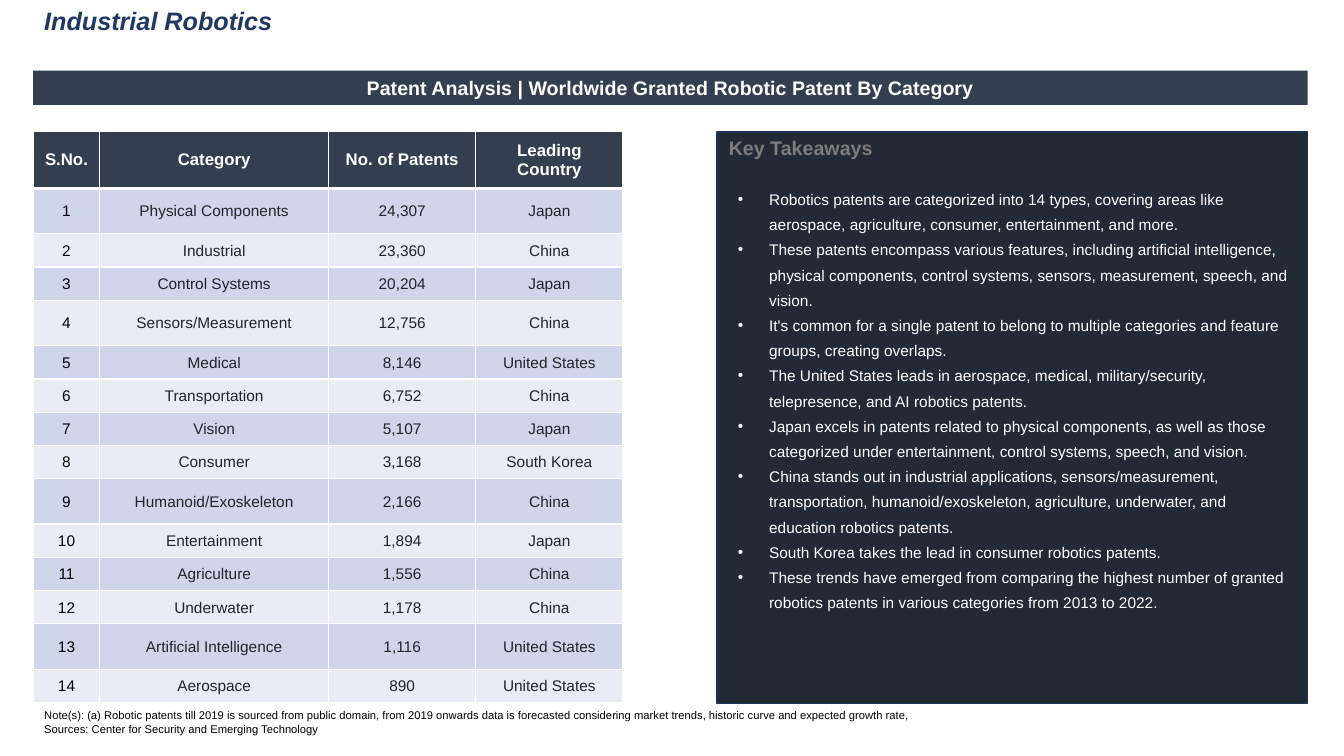
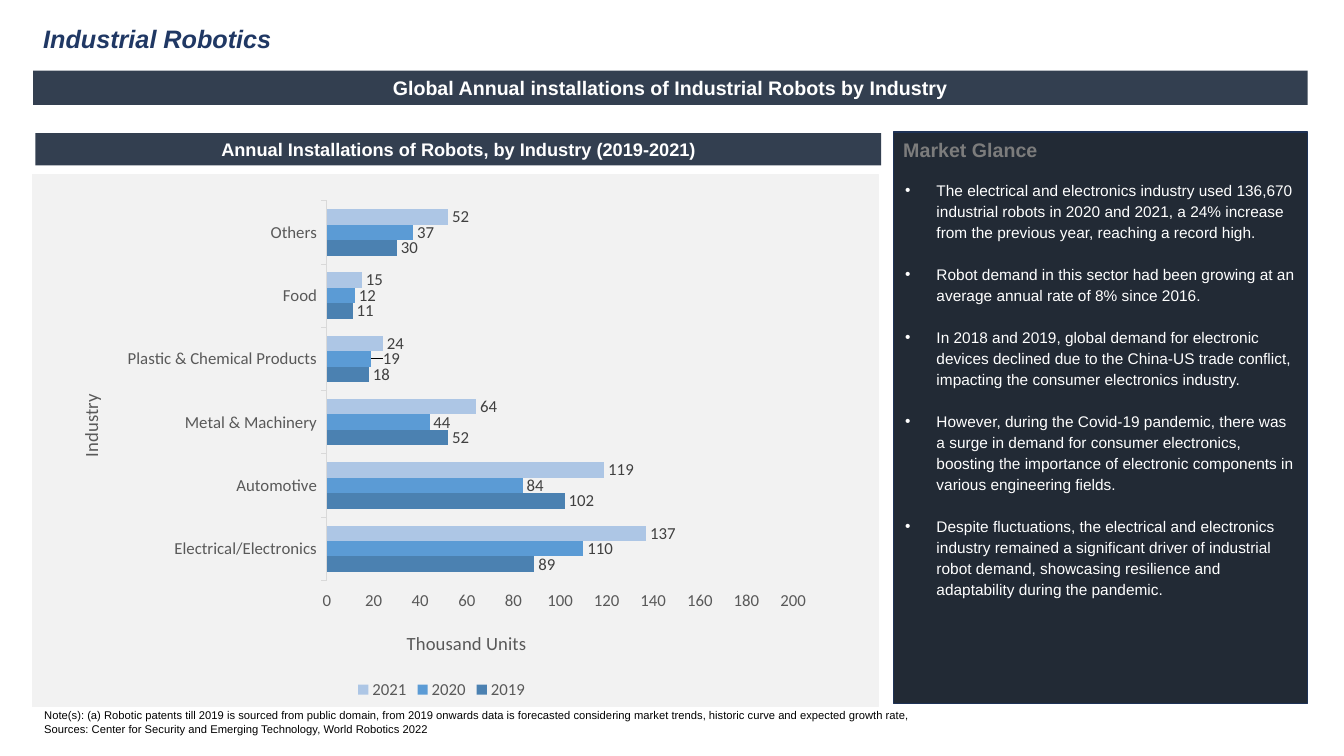
from lxml import etree
from pptx import Presentation
from pptx.chart.data import CategoryChartData
from pptx.dml.color import RGBColor
from pptx.enum.chart import XL_CHART_TYPE, XL_LABEL_POSITION, XL_LEGEND_POSITION, XL_TICK_MARK
from pptx.enum.shapes import MSO_SHAPE
from pptx.enum.text import MSO_ANCHOR, PP_ALIGN
from pptx.oxml.ns import qn
from pptx.util import Inches, Pt

RECTANGLE = MSO_SHAPE.RECTANGLE
CENTER = PP_ALIGN.CENTER
MIDDLE = MSO_ANCHOR.MIDDLE
CLUSTERED_BARS = XL_CHART_TYPE.BAR_CLUSTERED
OUTSIDE_END = XL_LABEL_POSITION.OUTSIDE_END
LEGEND_BOTTOM = XL_LEGEND_POSITION.BOTTOM
TICK_OUTSIDE = XL_TICK_MARK.OUTSIDE

COLORS = {
    "white": "FFFFFF", "black": "000000", "title": "203864", "banner": "333F50",
    "panel": "222A35", "panel_line": "1E3256", "heading": "7C7C7C",
    "cell_text": "212529", "odd_row": "CFD5EA", "even_row": "E9EBF5",
    "chart_area": "F2F2F2", "axis_text": "595959", "axis_line": "D9D9D9",
    "label_text": "404040", "2019": "4B81B1", "2020": "5B9BD5", "2021": "ADC6E5",
}

# Font formats shared by both slides
TITLE = {"name": "Arial", "size": Pt(18), "bold": True, "italic": True, "color": "title"}
BANNER = {"name": "Arial", "size": Pt(14), "bold": True, "color": "white"}
CHART_BANNER = {**BANNER, "size": Pt(13)}
HEADING = {**BANNER, "color": "heading"}
BULLET = {"name": "Arial", "size": Pt(11), "color": "white"}
FOOTER = {"name": "Arial", "size": Pt(8), "color": "black"}
HEADER_CELL = {**BANNER, "size": Pt(12)}
BODY_CELL = {"name": "Arial", "size": Pt(11), "bold": False, "color": "cell_text"}
NUMBER_CELL = {**BODY_CELL, "color": "black"}
AXIS = {"name": "Calibri", "size": Pt(12), "bold": False, "color": "axis_text"}
AXIS_TITLE = {**AXIS, "size": Pt(13.3)}
DATA_LABEL = {**AXIS, "color": "label_text"}

NOTE = ("Note(s): (a) Robotic patents till 2019 is sourced from public domain, from 2019 onwards "
        "data is forecasted considering market trends, historic curve and expected growth rate,")

PATENT_HEADER = ("S.No.", "Category", "No. of Patents", "Leading Country")
PATENTS = (
    ("Physical Components", "24,307", "Japan"),
    ("Industrial", "23,360", "China"),
    ("Control Systems", "20,204", "Japan"),
    ("Sensors/Measurement", "12,756", "China"),
    ("Medical", "8,146", "United States"),
    ("Transportation", "6,752", "China"),
    ("Vision", "5,107", "Japan"),
    ("Consumer", "3,168", "South Korea"),
    ("Humanoid/Exoskeleton", "2,166", "China"),
    ("Entertainment", "1,894", "Japan"),
    ("Agriculture", "1,556", "China"),
    ("Underwater", "1,178", "China"),
    ("Artificial Intelligence", "1,116", "United States"),
    ("Aerospace", "890", "United States"),
)
TALL_ROWS = (1, 4, 9, 13)

TAKEAWAYS = (
    "Robotics patents are categorized into 14 types, covering areas like aerospace, agriculture, "
    "consumer, entertainment, and more.",
    "These patents encompass various features, including artificial intelligence, physical "
    "components, control systems, sensors, measurement, speech, and vision.",
    "It's common for a single patent to belong to multiple categories and feature groups, "
    "creating overlaps.",
    "The United States leads in aerospace, medical, military/security, telepresence, and AI "
    "robotics patents.",
    "Japan excels in patents related to physical components, as well as those categorized under "
    "entertainment, control systems, speech, and vision.",
    "China stands out in industrial applications, sensors/measurement, transportation, "
    "humanoid/exoskeleton, agriculture, underwater, and education robotics patents.",
    "South Korea takes the lead in consumer robotics patents.",
    "These trends have emerged from comparing the highest number of granted robotics patents in "
    "various categories from 2013 to 2022.",
)
MARKET_POINTS = (
    "The electrical and electronics industry used 136,670 industrial robots in 2020 and 2021, "
    "a 24% increase from the previous year, reaching a record high.",
    "Robot demand in this sector had been growing at an average annual rate of 8% since 2016.",
    "In 2018 and 2019, global demand for electronic devices declined due to the China-US trade "
    "conflict, impacting the consumer electronics industry.",
    "However, during the Covid-19 pandemic, there was a surge in demand for consumer electronics, "
    "boosting the importance of electronic components in various engineering fields.",
    "Despite fluctuations, the electrical and electronics industry remained a significant driver "
    "of industrial robot demand, showcasing resilience and adaptability during the pandemic.",
)

INDUSTRIES = ("Electrical/Electronics", "Automotive", "Metal & Machinery",
              "Plastic & Chemical Products", "Food", "Others")
INSTALLATIONS = {
    "2019": (89, 102, 52, 18, 11, 30),
    "2020": (110, 84, 44, 19, 12, 37),
    "2021": (137, 119, 64, 24, 15, 52),
}


def rgb(color):
    return RGBColor.from_string(COLORS[color])


def apply_font(font, values):
    for name, value in values.items():
        if name == "color":
            font.color.rgb = rgb(value)
        else:
            setattr(font, name, value)


def write(paragraph, text, font_values):
    run = paragraph.add_run()
    run.text = text
    apply_font(run.font, font_values)


def add_text(slide, box, lines, font_values):
    frame = slide.shapes.add_textbox(*map(Inches, box)).text_frame
    frame.word_wrap = True
    for index, line in enumerate(lines):
        paragraph = frame.add_paragraph() if index else frame.paragraphs[0]
        write(paragraph, line, font_values)
    return frame


def add_bullets(slide, box, points, line_height, gap=0):
    frame = add_text(slide, box, points, BULLET)
    for index, paragraph in enumerate(frame.paragraphs):
        paragraph.line_spacing = Pt(line_height)
        paragraph.space_before = Pt(gap if index else 0)
        properties = paragraph.runs[0].font and paragraph._p.get_or_add_pPr()
        properties.set("marL", str(Inches(0.31)))
        properties.set("indent", str(-Inches(0.31)))
        etree.SubElement(properties, qn("a:buFont"), typeface="Arial")
        etree.SubElement(properties, qn("a:buChar"), char="•")


def add_rectangle(slide, box, fill, line=None):
    rectangle = slide.shapes.add_shape(RECTANGLE, *map(Inches, box))
    rectangle.shadow.inherit = False
    rectangle.fill.solid()
    rectangle.fill.fore_color.rgb = rgb(fill)
    if line:
        rectangle.line.color.rgb = rgb(line)
        rectangle.line.width = Pt(1)
    else:
        rectangle.line.fill.background()
    return rectangle


def add_banner(slide, box, text, font_values):
    frame = add_rectangle(slide, box, "banner").text_frame
    frame.word_wrap = True
    frame.vertical_anchor = MIDDLE
    frame.paragraphs[0].alignment = CENTER
    write(frame.paragraphs[0], text, font_values)


def add_panel(slide, left, heading, heading_left, heading_top):
    width = 12.97 - left
    add_rectangle(slide, (left, 1.31, width, 5.67), "panel", "panel_line")
    add_text(slide, (heading_left, heading_top, width, 0.34), [heading], HEADING)


def add_frame(prs, title_box, banner, sources):
    """Start a slide with its title, banner and footer."""
    slide = prs.slides.add_slide(prs.slide_layouts[6])
    add_text(slide, title_box, ["Industrial Robotics"], TITLE)
    add_banner(slide, (0.33, 0.7, 12.64, 0.34), banner, BANNER)
    add_text(slide, (0.34, 6.98, 12.98, 0.37), [NOTE, "Sources: " + sources], FOOTER)
    return slide


def set_borders(cell, bottom):
    properties = cell._tc.get_or_add_tcPr()
    for side, points in (("L", 1), ("R", 1), ("T", 1), ("B", bottom)):
        line = etree.SubElement(properties, qn("a:ln" + side), w=str(Pt(points)))
        fill = etree.SubElement(line, qn("a:solidFill"))
        etree.SubElement(fill, qn("a:srgbClr"), val=COLORS["white"])


def fill_cell(cell, text, fill, font_values, bottom=1):
    set_borders(cell, bottom)
    cell.fill.solid()
    cell.fill.fore_color.rgb = rgb(fill)
    cell.vertical_anchor = MIDDLE
    paragraph = cell.text_frame.paragraphs[0]
    paragraph.alignment = CENTER
    write(paragraph, text, font_values)


def add_patent_table(slide):
    box = map(Inches, (0.33, 1.3, 5.85, 5.67))
    table = slide.shapes.add_table(len(PATENTS) + 1, len(PATENT_HEADER), *box).table
    for column, width in zip(table.columns, (0.66, 2.27, 1.46, 1.46)):
        column.width = Inches(width)
    table.rows[0].height = Inches(0.57)
    for column, text in enumerate(PATENT_HEADER):
        fill_cell(table.cell(0, column), text, "banner", HEADER_CELL, bottom=3)
    margins = {"margin_left": 0.01, "margin_right": 0.01, "margin_top": 0.01, "margin_bottom": 0}
    for row, patent in enumerate(PATENTS, 1):
        table.rows[row].height = Inches(0.45 if row in TALL_ROWS else 0.33)
        fill = "odd_row" if row % 2 else "even_row"
        for column, text in enumerate((str(row), *patent)):
            cell = table.cell(row, column)
            fill_cell(cell, text, fill, BODY_CELL if column else NUMBER_CELL)
            for name, value in margins.items():
                setattr(cell, name, Inches(value))


def set_layout(parent, index, values):
    """Give a chart part a manual layout, as its child at the index."""
    for old in parent.findall(qn("c:layout")):
        parent.remove(old)
    layout = etree.Element(qn("c:layout"))
    manual = etree.SubElement(layout, qn("c:manualLayout"))
    for name, value in values.items():
        etree.SubElement(manual, qn("c:" + name), val=str(value))
    parent.insert(index, layout)


def format_axis(axis, title, x, y):
    axis.has_major_gridlines = False
    axis.major_tick_mark = TICK_OUTSIDE
    apply_font(axis.tick_labels.font, AXIS)
    write(axis.axis_title.text_frame.paragraphs[0], title, AXIS_TITLE)
    set_layout(axis.axis_title._element, 1, {"xMode": "edge", "yMode": "edge", "x": x, "y": y})


def add_installations_chart(slide):
    data = CategoryChartData()
    data.categories = INDUSTRIES
    for year, values in INSTALLATIONS.items():
        data.add_series(year, values)
    box = map(Inches, (0.59, 1.89, 7.58, 5.09))
    chart = slide.shapes.add_chart(CLUSTERED_BARS, *box, data).chart
    chart.has_title = False
    apply_font(chart.font, AXIS)

    # Bars and their values
    bars = chart.plots[0]
    bars.gap_width = 109
    bars.overlap = 0
    bars.vary_by_categories = False
    for series in bars.series:
        series.format.fill.solid()
        series.format.fill.fore_color.rgb = rgb(series.name)
        labels = series.data_labels
        labels.show_value = True
        labels.position = OUTSIDE_END
        apply_font(labels.font, DATA_LABEL)
    plastic_label = bars.series[1].points[3].data_label
    apply_font(plastic_label.font, DATA_LABEL)
    plastic_label.position = OUTSIDE_END
    set_layout(chart._chartSpace.xpath(".//c:dLbl")[0], 1, {"x": 0.01, "y": 0})

    # Axes, legend and plot area
    format_axis(chart.category_axis, "Industry", 0.02, 0.39)
    chart.category_axis.format.line.color.rgb = rgb("axis_line")
    chart.category_axis.format.line.width = Pt(0.75)
    format_axis(chart.value_axis, "Thousand Units", 0.45, 0.85)
    chart.value_axis.format.line.fill.background()
    chart.value_axis.minimum_scale = 0
    chart.value_axis.maximum_scale = 200
    chart.value_axis.major_unit = 20
    chart.has_legend = True
    chart.legend.position = LEGEND_BOTTOM
    chart.legend.include_in_layout = False
    apply_font(chart.legend.font, AXIS)
    set_layout(chart._chartSpace.xpath(".//c:plotArea")[0], 0, {
        "layoutTarget": "inner", "xMode": "edge", "yMode": "edge",
        "x": 0.35, "y": 0.02, "w": 0.61, "h": 0.74})


def main():
    prs = Presentation()
    prs.slide_width, prs.slide_height = Inches(13.33), Inches(7.5)

    # Patents by category
    patents = add_frame(prs, (0.34, 0, 3.16, 0.71),
                        "Patent Analysis | Worldwide Granted Robotic Patent By Category",
                        "Center for Security and Emerging Technology")
    add_patent_table(patents)
    add_panel(patents, 7.11, "Key Takeaways", 7.13, 1.3)
    add_bullets(patents, (7.22, 1.77, 5.75, 4.36), TAKEAWAYS, 18)

    # Installations by industry
    market = add_frame(prs, (0.33, 0.18, 3.02, 0.71),
                       "Global Annual installations of Industrial Robots by Industry",
                       "Center for Security and Emerging Technology, World Robotics 2022")
    add_rectangle(market, (0.32, 1.73, 8.39, 5.28), "chart_area", "chart_area")
    add_banner(market, (0.35, 1.32, 8.39, 0.32),
               "Annual Installations of Robots, by Industry (2019-2021)", CHART_BANNER)
    add_installations_chart(market)
    add_panel(market, 8.86, "Market Glance", 8.86, 1.32)
    add_bullets(market, (8.88, 1.72, 4.08, 4.29), MARKET_POINTS, 15, gap=15)

    prs.save("out.pptx")


if __name__ == "__main__":
    main()
